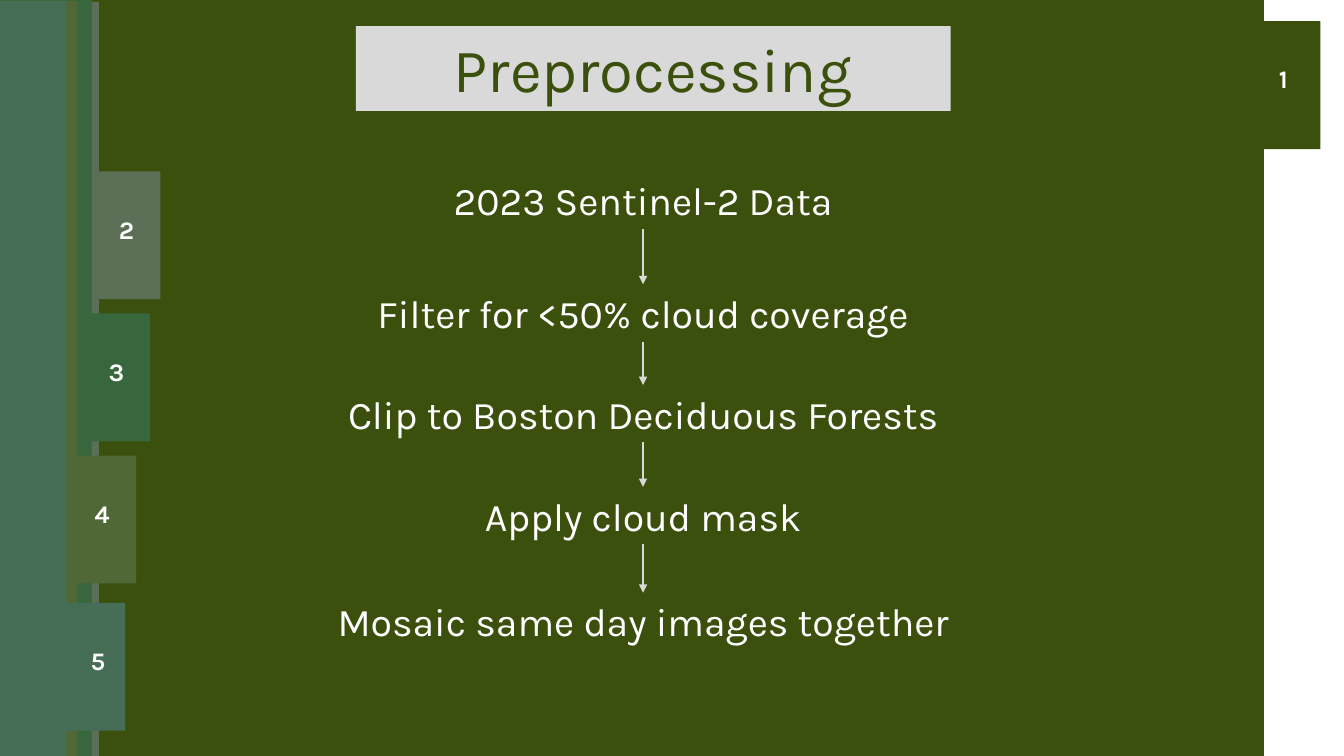
from dataclasses import dataclass

from lxml.etree import SubElement
from pptx import Presentation
from pptx.dml.color import RGBColor as RGB
from pptx.enum.shapes import MSO_CONNECTOR as Conn, MSO_SHAPE as Geo
from pptx.enum.text import MSO_ANCHOR as Anchor, MSO_AUTO_SIZE as Auto, PP_ALIGN as Align
from pptx.oxml.ns import qn
from pptx.util import Pt

COLORS = {
    "forest": "3B500D", "sage": "5B6E56", "green": "38663D", "olive": "506836",
    "teal": "466E56", "grey": "D9D9D9", "white": "FFFFFF",
}
FRAME = {"word_wrap": True, "auto_size": Auto.NONE, "vertical_anchor": Anchor.TOP,
         "margin_left": Pt(7.2), "margin_right": Pt(7.2),
         "margin_top": Pt(3.6), "margin_bottom": Pt(3.6)}
TAB_W, TAB_H = 43.9, 91.4
STEP_X, STEP_W, STEP_H = 177.1, 564.5, 41


@dataclass
class Divider:
    number: str
    color: str
    strip_top: float
    strip_w: float
    tab_x: float
    tab_y: float
    label_dx: float = 7.2
    label_w: float = 28.8


@dataclass
class Step:
    text: str
    top: float
    arrow_w: float = 1.5  # weight of the arrow leading to the next step


DIVIDERS = [
    Divider("1", "forest", 0, 902.9, 899.3, 15.1),
    Divider("2", "sage", 1.4, 70.6, 70.6, 122.4),
    Divider("3", "green", 0, 65.5, 63.4, 223.9),
    Divider("4", "olive", 0.7, 55.4, 53.3, 325.4),
    Divider("5", "teal", 0.7, 47.5, 45.4, 430.6, 12.2, 21.6),
]
STEPS = [
    Step("2023 Sentinel-2 Data", 122.4, 1),
    Step("Filter for <50% cloud coverage", 203),
    Step("Clip to Boston Deciduous Forests", 275),
    Step("Apply cloud mask", 347.8),
    Step("Mosaic same day images together", 423.4),
]


def rgb(name: str) -> RGB:
    return RGB.from_string(COLORS[name])


def set_fill(sp, color: str) -> None:
    sp.fill.solid()
    sp.fill.fore_color.rgb = rgb(color)


def write(sp, text: str, size: float, color: str, align=Align.CENTER, bold=False) -> None:
    tf = sp.text_frame
    for name, value in FRAME.items():
        setattr(tf, name, value)
    p = tf.paragraphs[0]
    p.alignment = align
    r = p.add_run()
    r.text = text
    for name, value in {"name": "Karla", "size": Pt(size), "bold": bold}.items():
        setattr(r.font, name, value)
    r.font.color.rgb = rgb(color)


def add_block(shapes, x: float, y: float, w: float, h: float, color: str) -> None:
    sp = shapes.add_shape(Geo.RECTANGLE, Pt(x), Pt(y), Pt(w), Pt(h))
    sp.shadow.inherit = False
    set_fill(sp, color)
    sp.line.fill.background()


def add_text(shapes, x: float, y: float, w: float, h: float, text: str, size: float, **fmt):
    sp = shapes.add_textbox(Pt(x), Pt(y), Pt(w), Pt(h))
    write(sp, text, size, "white", **fmt)


def add_divider(s, d: Divider) -> None:
    shapes = s.shapes.add_group_shape().shapes
    add_block(shapes, 0, d.strip_top, d.strip_w, 540 - d.strip_top, d.color)
    add_block(shapes, d.tab_x, d.tab_y, TAB_W, TAB_H, d.color)
    add_text(shapes, d.tab_x + d.label_dx, d.tab_y + 26.8, d.label_w, 37.4,
             d.number, 18, align=Align.LEFT, bold=True)


def add_arrow(s, x: float, top: float, bottom: float, weight: float) -> None:
    c = s.shapes.add_connector(Conn.STRAIGHT, Pt(x), Pt(top), Pt(x), Pt(bottom))
    c.line.width = Pt(weight)
    c.line.color.rgb = rgb("grey")
    props = c._element.spPr
    SubElement(props.find(qn("a:ln")), qn("a:tailEnd"), type="triangle")
    SubElement(props, qn("a:effectLst"))


def main() -> None:
    prs = Presentation()
    prs.slide_width, prs.slide_height = Pt(960), Pt(540)
    s = prs.slides.add_slide(prs.slide_layouts[5])

    # Layered pages with numbered tabs
    for d in DIVIDERS:
        add_divider(s, d)

    # Title, brought in front of the pages
    title = s.shapes.title
    box = {"left": 254.2, "top": 18.7, "width": 424.8, "height": 60.5}
    for name, value in box.items():
        setattr(title, name, Pt(value))
    set_fill(title, "grey")
    write(title, "Preprocessing", 44, "forest")
    title._element.getparent().append(title._element)

    # Workflow steps and the arrows between them
    for step in STEPS:
        add_text(s.shapes, STEP_X, step.top, STEP_W, STEP_H, step.text, 28)
    for step, following in zip(STEPS, STEPS[1:]):
        add_arrow(s, STEP_X + STEP_W / 2, step.top + STEP_H, following.top, step.arrow_w)

    prs.save("out.pptx")


if __name__ == "__main__":
    main()
